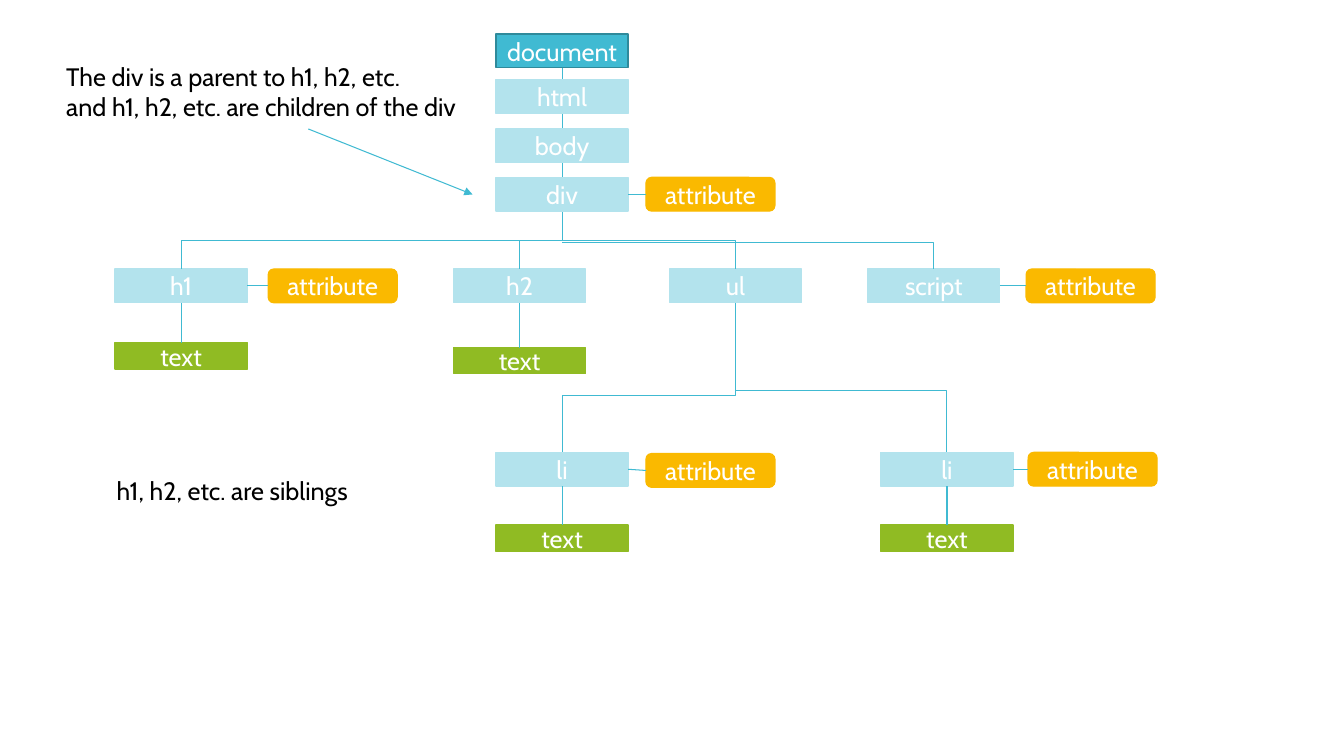
from dataclasses import dataclass
from typing import Optional

from lxml.etree import SubElement
from pptx import Presentation
from pptx.dml.color import RGBColor
from pptx.enum.shapes import MSO_CONNECTOR, MSO_SHAPE
from pptx.enum.text import MSO_ANCHOR, MSO_AUTO_SIZE, PP_ALIGN
from pptx.oxml.ns import qn
from pptx.util import Cm, Pt

COLORS = {
    "root": "40BAD2", "root_edge": "2F8A9B", "element": "B3E3ED",
    "attribute": "FAB900", "text": "90BB23", "line": "40BAD2",
    "label": "FFFFFF", "note": "000000",
}
FONT = {"name": "Cabin", "size": Pt(18)}
BOX_FRAME = {
    "word_wrap": True, "vertical_anchor": MSO_ANCHOR.MIDDLE,
    "margin_left": 0, "margin_right": 0, "margin_top": 0, "margin_bottom": 0,
}
NOTE_FRAME = {"word_wrap": False, "auto_size": MSO_AUTO_SIZE.SHAPE_TO_FIT_TEXT}

# All lengths below are centimetres
ELEMENT_WIDTH, ATTRIBUTE_WIDTH = 3.33, 3.25
BOX_HEIGHT, TEXT_HEIGHT = 0.85, 0.66
SPINE_LEFT, CHILD_TOP, ITEM_TOP = 12.5, 6.78, 11.4
BRANCH_TOP, SCRIPT_BRANCH_TOP, ITEM_BRANCH_TOP = 6.07, 6.12, 9.83
TOP, LEFT, BOTTOM, RIGHT = range(4)  # connection sites of a box


@dataclass
class Node:
    name: str
    left: float
    top: float
    kind: str = "element"
    attribute_left: Optional[float] = None
    attribute_top: Optional[float] = None
    text_top: Optional[float] = None

    @property
    def center(self) -> float:
        return self.left + ELEMENT_WIDTH / 2


@dataclass
class Note:
    text: str
    left: float
    top: float
    width: float
    height: float


SPINE = [
    Node("document", SPINE_LEFT, 0.86, "root"),
    Node("html", SPINE_LEFT, 2.01),
    Node("body", SPINE_LEFT, 3.25),
    Node("div", SPINE_LEFT, 4.47, attribute_left=16.28),
]
CHILDREN = [
    Node("h1", 2.9, CHILD_TOP, attribute_left=6.76, text_top=8.64),
    Node("h2", 11.43, CHILD_TOP, text_top=8.76),
    Node("ul", 16.87, CHILD_TOP),
    Node("script", 21.87, CHILD_TOP, attribute_left=25.86),
]
ITEMS = [
    Node("li", SPINE_LEFT, ITEM_TOP, attribute_left=16.28,
         attribute_top=11.43, text_top=13.23),
    Node("li", 22.2, ITEM_TOP, attribute_left=25.91, text_top=13.23),
]
NOTES = [
    Note("The div is a parent to h1, h2, etc.\v"
         "and h1, h2, etc. are children of the div", 1.42, 1.42, 10.41, 1.8),
    Note("h1, h2, etc. are siblings", 2.69, 11.86, 6.48, 1.02),
]

deck = Presentation()
deck.slide_width, deck.slide_height = Cm(33.87), Cm(19.05)
page = deck.slides.add_slide(deck.slide_layouts[6])


def color(key: str) -> RGBColor:
    return RGBColor.from_string(COLORS[key])


def apply(target, values: dict) -> None:
    for name, value in values.items():
        setattr(target, name, value)


def write(frame, text: str, ink: str, frame_format: dict, align) -> None:
    apply(frame, frame_format)
    frame.text = text
    para = frame.paragraphs[0]
    para.alignment = align
    for span in para.runs:
        apply(span.font, FONT)
        span.font.color.rgb = color(ink)


def add_box(label: str, kind: str, left: float, top: float,
            width: float = ELEMENT_WIDTH, height: float = BOX_HEIGHT):
    preset = MSO_SHAPE.ROUNDED_RECTANGLE if kind == "attribute" else MSO_SHAPE.RECTANGLE
    box = page.shapes.add_shape(preset, Cm(left), Cm(top), Cm(width), Cm(height))
    box.shadow.inherit = False
    box.fill.solid()
    box.fill.fore_color.rgb = color(kind)
    box.line.color.rgb = color("root_edge" if kind == "root" else kind)
    box.line.width = Pt(0.85)
    write(box.text_frame, label, "label", BOX_FRAME, PP_ALIGN.CENTER)
    return box


def add_line(x1: float, y1: float, x2: float, y2: float, kind=MSO_CONNECTOR.STRAIGHT):
    line = page.shapes.add_connector(kind, Cm(x1), Cm(y1), Cm(x2), Cm(y2))
    line.line.color.rgb = color("line")
    line.line.width = Pt(0.75)
    SubElement(line._element.spPr, qn("a:effectLst"))
    return line


def join(start, start_site: int, end, end_site: int) -> None:
    line = add_line(0, 0, 1, 1)
    line.begin_connect(start, start_site)
    line.end_connect(end, end_site)


def add_branch(x: float, y: float, child: Node) -> None:
    """Run sideways from the trunk, then down to the child."""
    line = add_line(x, y, child.center, child.top, MSO_CONNECTOR.ELBOW)
    line._element.spPr.find(qn("a:prstGeom")).set("prst", "bentConnector2")


def add_step(parent: Node, child: Node, bend: float) -> None:
    """Run down, sideways and down again: an elbow turned by 90 degrees."""
    start = parent.top + BOX_HEIGHT
    drop, shift = child.top - start, parent.center - child.center
    middle_x, middle_y = child.center + shift / 2, start + drop / 2
    line = add_line(middle_x - drop / 2, middle_y - shift / 2,
                    middle_x + drop / 2, middle_y + shift / 2, MSO_CONNECTOR.ELBOW)
    properties = line._element.spPr
    properties.find(qn("a:xfrm")).set("rot", "5400000")
    guides = properties.find(qn("a:prstGeom")).get_or_add_avLst()
    ratio = round((bend - start) / drop * 100000)
    SubElement(guides, qn("a:gd"), name="adj1", fmla=f"val {ratio}")


def add_node(node: Node) -> None:
    box = add_box(node.name, node.kind, node.left, node.top)
    if node.attribute_left is not None:
        attribute = add_box("attribute", "attribute", node.attribute_left,
                            node.attribute_top or node.top, ATTRIBUTE_WIDTH)
        join(box, RIGHT, attribute, LEFT)
    if node.text_top is not None:
        text = add_box("text", "text", node.left, node.text_top, height=TEXT_HEIGHT)
        join(box, BOTTOM, text, TOP)


# Trunk behind the spine, then every node with its attribute and text
document = SPINE[0]
add_line(document.center, document.top + BOX_HEIGHT, document.center, BRANCH_TOP)
for node in SPINE + CHILDREN + ITEMS:
    add_node(node)

# Branches from div to its children and from ul to its items
for child in CHILDREN:
    add_branch(document.center,
               SCRIPT_BRANCH_TOP if child.name == "script" else BRANCH_TOP, child)
list_node = CHILDREN[2]
add_step(list_node, ITEMS[0], bend=9.96)
add_branch(list_node.center, ITEM_BRANCH_TOP, ITEMS[1])

# Notes and the arrow pointing at div
for note in NOTES:
    box = page.shapes.add_textbox(Cm(note.left), Cm(note.top), Cm(note.width), Cm(note.height))
    write(box.text_frame, note.text, "note", NOTE_FRAME, PP_ALIGN.LEFT)
arrow = add_line(7.77, 3.25, 11.91, 4.9)
SubElement(arrow.line._get_or_add_ln(), qn("a:tailEnd"), type="triangle")

deck.save("out.pptx")
